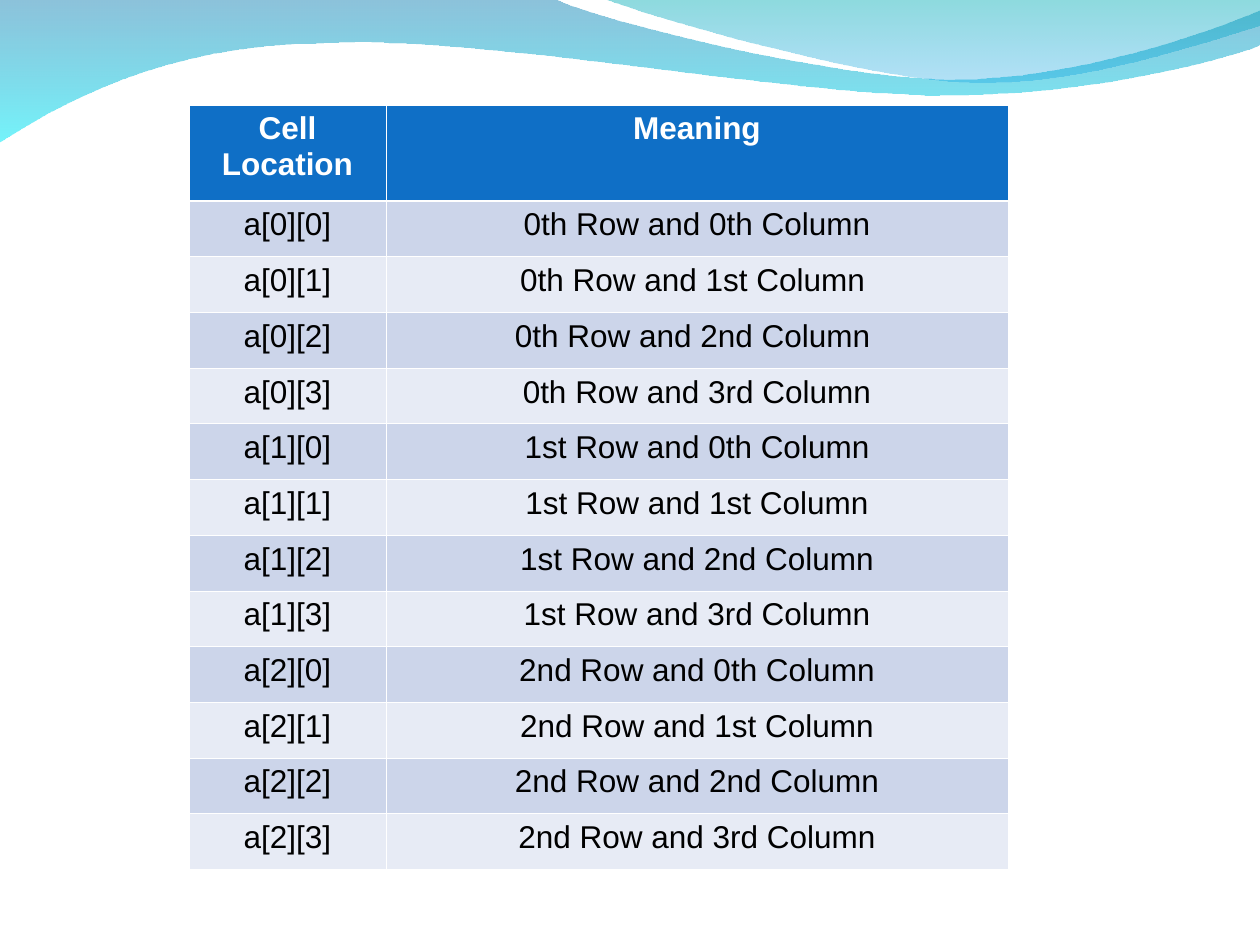
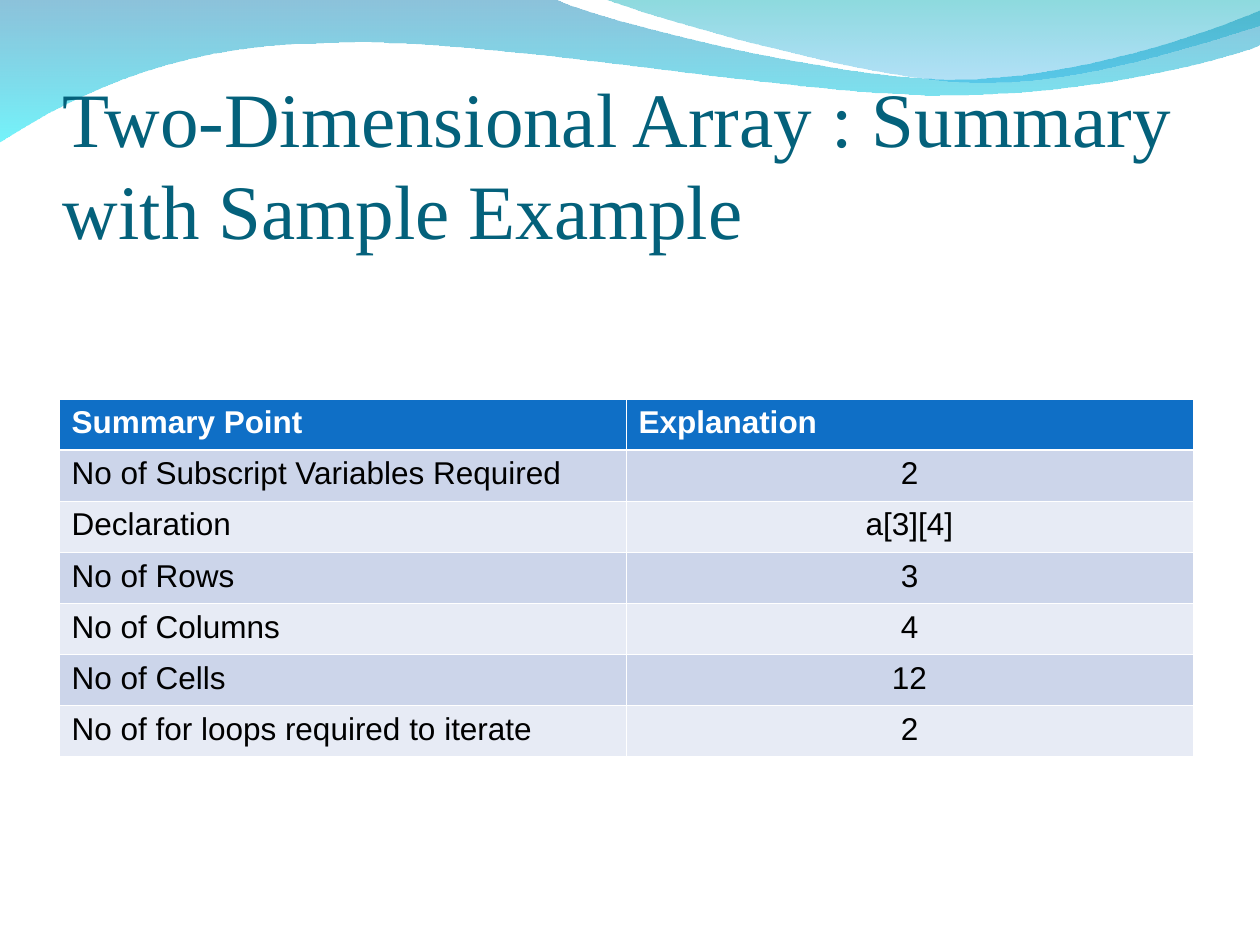
from lxml import etree
from pptx import Presentation
from pptx import util as u
from pptx.dml.color import RGBColor
from pptx.enum import text
from pptx.oxml.ns import qn

SCALE = 914400 / 126
WHITE = RGBColor(0xFF, 0xFF, 0xFF)
BLACK = RGBColor(0, 0, 0)
BLUE = RGBColor(0x0F, 0x6F, 0xC6)
BANDS = RGBColor(0xCC, 0xD5, 0xEA), RGBColor(0xE7, 0xEB, 0xF5)
TEAL = RGBColor(0x04, 0x61, 0x7B)
SEA = RGBColor(0, 0x79, 0xAF)
CYAN = RGBColor(0, 0xEB, 0xF8)
JADE = RGBColor(0, 0xAD, 0xB6)
SKY = RGBColor(0, 0x9B, 0xE5)
LEFT, MID = text.PP_ALIGN.LEFT, text.PP_ALIGN.CENTER
THIN, THICK = 0.45, 1.47

BACK_WAVE = [
    (0, -1), (554, -1),
    (600, 21, 837, 79, 955, 79), (1075, 79, 1207, 33, 1260, 11),
    (1261, 45),
    (1239, 55, 1096, 96, 940, 95), (784, 95, 481, 35, 324, 43),
    (163, 44, 58, 105, -1, 142), (0, -1),
]
FRONT_WAVE = [
    (604, -1),
    (641, 14, 859, 78, 969, 82), (1079, 87, 1211, 40, 1260, 26),
    (1260, 0), (604, -1),
]
SUMMARY = [
    ("Summary Point", "Explanation"),
    ("No of Subscript Variables Required", "2"),
    ("Declaration", "a[3][4]"),
    ("No of Rows", "3"),
    ("No of Columns", "4"),
    ("No of Cells", "12"),
    ("No of for loops required to iterate", "2"),
]


def px(n):
    return u.Emu(round(n * SCALE))


def bend_lines(wave, route):
    """Merge each three line steps that stand for a curve into one cubic step."""
    steps = wave.element.iter(qn("a:lnTo"))
    steps = iter(list(steps))
    for part in route[1:]:
        group = [next(steps) for _ in range(len(part) // 2)]
        if len(group) == 3:
            cubic = etree.Element(qn("a:cubicBezTo"))
            group[0].addprevious(cubic)
            for step in group:
                cubic.append(step[0])
                step.getparent().remove(step)


def add_wave(slide, route, stops):
    points = [(px(part[i]), px(part[i + 1]))
              for part in route for i in range(0, len(part), 2)]
    pen = slide.shapes.build_freeform(*points[0])
    pen.add_line_segments(points[1:], close=True)
    wave = pen.convert_to_shape()
    bend_lines(wave, route)
    wave.shadow.inherit = False
    wave.line.fill.background()
    wave.fill.gradient()
    wave.fill.gradient_angle = 270
    for stop, (color, _) in zip(wave.fill.gradient_stops, stops):
        stop.color.rgb = color
    for node, (_, alpha) in zip(wave.element.iter(qn("a:srgbClr")), stops):
        etree.SubElement(node, qn("a:alpha"), val=str(alpha * 1000))


def add_run(para, words, font, size, color, bold=False):
    run = para.add_run()
    run.text = words
    run.font.name = font
    run.font.size = u.Pt(size)
    run.font.bold = bold
    run.font.color.rgb = color


def add_title(slide, words):
    box = slide.shapes.add_textbox(px(63), px(42), px(1134), px(213))
    frame = box.text_frame
    frame.word_wrap = True
    frame.vertical_anchor = text.MSO_ANCHOR.BOTTOM
    frame.margin_left = frame.margin_right = frame.margin_bottom = 0
    add_run(frame.paragraphs[0], words, "Times New Roman", 44, TEAL)


def add_edge(cell, side, width):
    props = cell._tc.get_or_add_tcPr()
    edge = etree.SubElement(props, qn("a:ln" + side), w=str(u.Pt(width)))
    fill = etree.SubElement(edge, qn("a:solidFill"))
    etree.SubElement(fill, qn("a:srgbClr"), val=str(WHITE))


def fill_cell(cell, words, row, align):
    """Style one cell as header (row 0) or banded body."""
    for side in "LRTB":
        heavy = (row, side) in ((0, "B"), (1, "T"))
        add_edge(cell, side, THICK if heavy else THIN)
    head = row == 0
    cell.fill.solid()
    cell.fill.fore_color.rgb = BLUE if head else BANDS[(row - 1) % 2]
    para = cell.text_frame.paragraphs[0]
    para.alignment = align
    add_run(para, words, "Arial", 18, WHITE if head else BLACK, head)


def add_grid(slide, left, top, high, head, widths, rows, head_align, aligns):
    """Add a banded table whose body rows share the height below the header."""
    frame = slide.shapes.add_table(
        len(rows), len(widths), px(left), px(top), px(sum(widths)), px(high))
    grid = frame.table
    for col, width in zip(grid.columns, widths):
        col.width = px(width)
    for r, row in enumerate(rows):
        grid.rows[r].height = px((high - head) / (len(rows) - 1) if r else head)
        for c, words in enumerate(row):
            fill_cell(grid.cell(r, c), words, r, aligns[c] if r else head_align)


def add_slide(deck):
    slide = deck.slides.add_slide(deck.slide_layouts[6])
    add_wave(slide, BACK_WAVE, [(SEA, 45), (CYAN, 55)])
    add_wave(slide, FRONT_WAVE, [(JADE, 45), (SKY, 30)])
    return slide


def list_cells():
    """List the cells of a 3 by 4 array, two of them with a closing space."""
    ranks = "0th", "1st", "2nd", "3rd"
    rows = [("Cell Location", "Meaning")]
    for r in range(3):
        for c in range(4):
            tail = " " if (r, c) in ((0, 1), (0, 2)) else ""
            rows.append((f"a[{r}][{c}]",
                         f"{ranks[r]} Row and {ranks[c]} Column{tail}"))
    return rows


def main():
    deck = Presentation()
    deck.slide_width, deck.slide_height = px(1260), px(945)

    slide = add_slide(deck)
    add_grid(slide, 189, 105, 765, 96, (197, 622), list_cells(), MID, (MID, MID))

    slide = add_slide(deck)
    add_title(slide, "Two-Dimensional Array : Summary with Sample Example")
    add_grid(slide, 59, 399, 358, 51, (567, 567), SUMMARY, LEFT, (LEFT, MID))

    deck.save("out.pptx")


if __name__ == "__main__":
    main()
